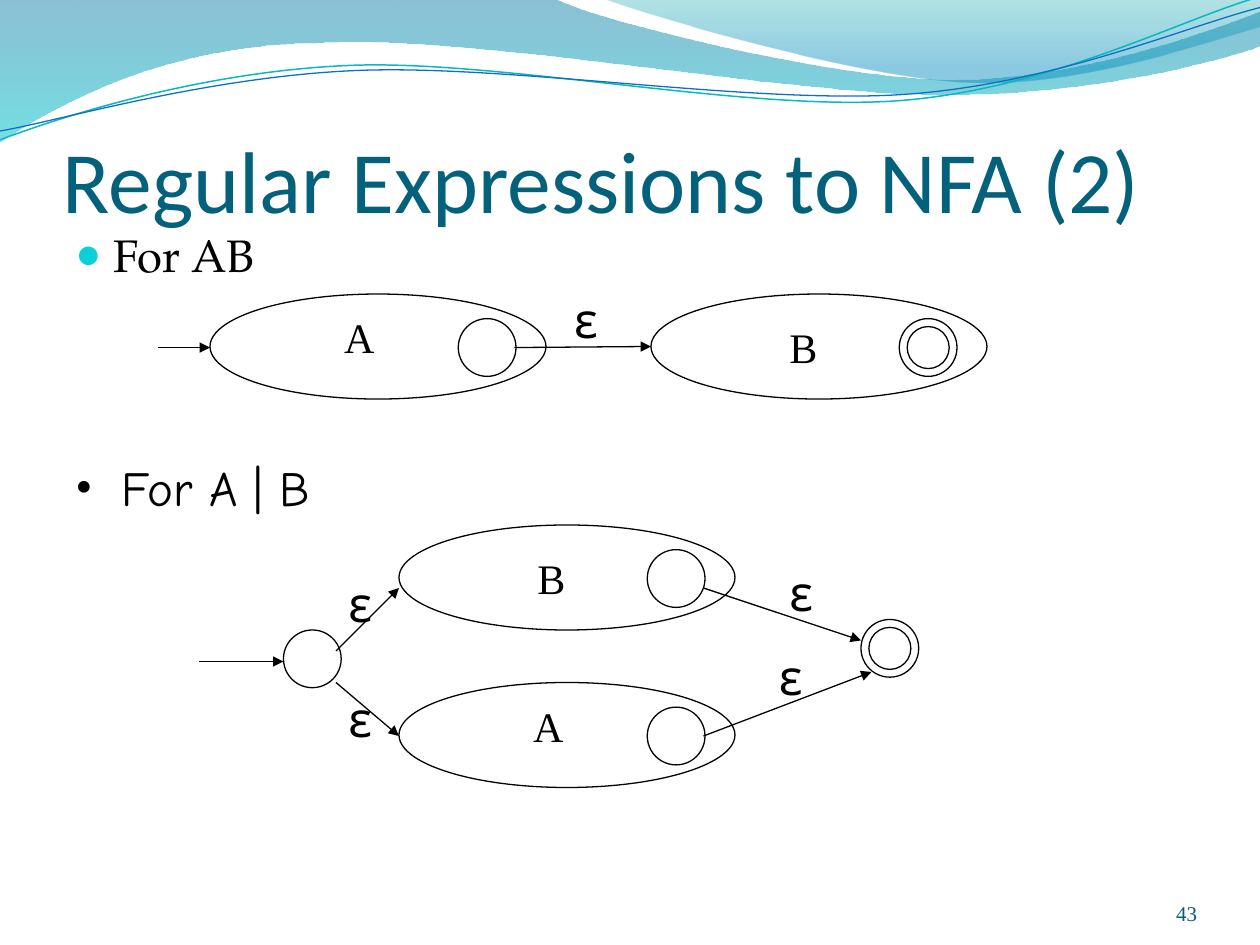
from lxml import etree
from pptx import Presentation
from pptx.dml.color import RGBColor
from pptx.enum.shapes import MSO_CONNECTOR, MSO_SHAPE
from pptx.enum.text import MSO_ANCHOR, PP_ALIGN
from pptx.oxml.ns import qn
from pptx.util import Inches, Pt

ELLIPSE = MSO_SHAPE.OVAL
STRAIGHT = MSO_CONNECTOR.STRAIGHT
TOP, BOTTOM = MSO_ANCHOR.TOP, MSO_ANCHOR.BOTTOM
LEFT, RIGHT = PP_ALIGN.LEFT, PP_ALIGN.RIGHT

COLORS = {
    "ink": "000000", "title": "04617B", "number": "045C75", "bullet": "0BD0D9",
    "teal_line": "0AB8BF", "blue_line": "0F6FC6",
    "wave_top": "0074A1", "wave_bottom": "00C6CF",
    "crest_top": "00A1A9", "crest_bottom": "008BBF",
}
SERIF, SANS, COMIC, BOOK = "Times New Roman", "Calibri", "Comic Neue", "TeX Gyre Pagella"
DEFAULT_INSETS = (0.1, 0.05, 0.1, 0.05)
STATE = 5.5
LETTER_OFFSETS = {"A": (11.6, 1.1), "B": (12, 2)}

WAVE = [(0, -0.01), (4.4, -0.01), (4.76, 0.17, 6.64, 0.63, 7.58, 0.63),
        (8.53, 0.63, 9.58, 0.26, 10, 0.09), (10.01, 0.36),
        (9.83, 0.44, 8.7, 0.76, 7.46, 0.75), (6.22, 0.75, 3.82, 0.28, 2.57, 0.34),
        (1.29, 0.35, 0.46, 0.83, -0.01, 1.13), (0, -0.01)]
CREST = [(4.79, -0.01), (5.09, 0.11, 6.82, 0.62, 7.69, 0.65),
         (8.56, 0.69, 9.61, 0.32, 10, 0.21), (10, 0), (4.79, -0.01)]
TEAL_CURVE = [(0, 1.11), (0.48, 0.93, 1.58, 0.57, 2.77, 0.52),
              (3.95, 0.47, 5.93, 0.89, 7.13, 0.8), (8.33, 0.71, 9.38, 0.15, 9.98, -0.02)]
BLUE_CURVE = [(0, 1.04), (0.47, 0.96, 1.64, 0.61, 2.83, 0.56),
              (4.03, 0.51, 5.97, 0.83, 7.17, 0.75), (8.36, 0.67, 9.41, 0.21, 10, 0.06)]


def grid(*counts):
    """Convert columns or rows, twelve to the inch, into lengths."""
    return [Inches(count / 12) for count in counts]


def color(name):
    """Look up a named colour."""
    return RGBColor.from_string(COLORS[name])


def add_outline(slide, steps, close):
    """Add a freeform whose six-number steps are cubic curves."""
    ends = [(Inches(step[-2]), Inches(step[-1])) for step in steps]
    builder = slide.shapes.build_freeform(*ends[0])
    builder.add_line_segments(ends[1:], close=close)
    shape = builder.convert_to_shape()
    shape.shadow.inherit = False
    segments = list(shape.element.spPr.iter(qn("a:lnTo")))
    for segment, step in zip(segments, steps[1:]):
        if len(step) == 6:
            segment.tag = qn("a:cubicBezTo")
            controls = zip(step[:4:2], step[1:4:2])
            for index, (x, y) in enumerate(controls):
                point = etree.Element(qn("a:pt"), x=str(Inches(x) - shape.left),
                                      y=str(Inches(y) - shape.top))
                segment.insert(index, point)
    return shape


def add_band(slide, steps, stops):
    """Add a wave filled with a translucent vertical gradient."""
    shape = add_outline(slide, steps, True)
    shape.line.fill.background()
    shape.fill.gradient()
    shape.fill.gradient_angle = 270
    for stop, (position, name, _) in zip(shape.fill.gradient_stops, stops):
        stop.position = position
        stop.color.rgb = color(name)
    choices = shape.element.spPr.iter(qn("a:srgbClr"))
    for choice, (_, _, opacity) in zip(choices, stops):
        etree.SubElement(choice, qn("a:alpha"), val=str(opacity * 1000))


def add_curve(slide, steps, name, width):
    """Add an open curved line."""
    shape = add_outline(slide, steps, False)
    shape.fill.background()
    shape.line.color.rgb = color(name)
    shape.line.width = Pt(width)


def add_text(slide, box, text, font, size, name="ink", wrap=True,
             anchor=TOP, align=LEFT, insets=DEFAULT_INSETS):
    """Add a one-paragraph text box and return its paragraph."""
    frame = slide.shapes.add_textbox(*grid(*box)).text_frame
    frame.word_wrap = wrap
    frame.vertical_anchor = anchor
    (frame.margin_left, frame.margin_top,
     frame.margin_right, frame.margin_bottom) = map(Inches, insets)
    paragraph = frame.paragraphs[0]
    paragraph.text = text
    paragraph.alignment = align
    run_font = paragraph.runs[0].font
    run_font.name, run_font.size = font, Pt(size)
    run_font.color.rgb = color(name)
    return paragraph


def add_bullet(paragraph, character, indent, name, percent):
    """Give a paragraph a hanging bullet."""
    properties = paragraph._p.get_or_add_pPr()
    properties.set("marL", str(Inches(indent)))
    properties.set("indent", str(-Inches(indent)))
    choice = etree.SubElement(properties, qn("a:buClr"))
    etree.SubElement(choice, qn("a:srgbClr"), val=COLORS[name])
    etree.SubElement(properties, qn("a:buSzPct"), val=str(percent * 1000))
    etree.SubElement(properties, qn("a:buFont"), typeface=SERIF)
    etree.SubElement(properties, qn("a:buChar"), char=character)


def add_ellipse(slide, column, row, width, height):
    """Add an unfilled ellipse."""
    shape = slide.shapes.add_shape(ELLIPSE, *grid(column, row, width, height))
    shape.shadow.inherit = False
    shape.fill.background()
    shape.line.color.rgb = color("ink")
    shape.line.width = Pt(0.75)


def add_state(slide, column, row, final=False):
    """Add a state circle, doubled when it is final."""
    if final:
        add_ellipse(slide, column + 0.75, row + 0.75, STATE - 1.5, STATE - 1.5)
    add_ellipse(slide, column, row, STATE, STATE)


def add_machine(slide, column, row, letter, final=False):
    """Add a lettered automaton with its accepting state."""
    add_ellipse(slide, column, row, 32, 10)
    right, down = LETTER_OFFSETS[letter]
    add_text(slide, (column + right, row + down, 5.2, 6), letter, SERIF, 24, wrap=False)
    add_state(slide, column + 23.65, row + 2.35, final)


def add_arrow(slide, *ends):
    """Add a straight arrow between two grid points."""
    connector = slide.shapes.add_connector(STRAIGHT, *grid(*ends))
    connector.line.color.rgb = color("ink")
    connector.line.width = Pt(0.75)
    line = connector.line._get_or_add_ln()
    etree.SubElement(line, qn("a:tailEnd"), type="triangle")
    etree.SubElement(connector.element.spPr, qn("a:effectLst"))


def add_epsilons(slide, places):
    """Label empty moves with epsilon."""
    for column, row in places:
        add_text(slide, (column, row, 4.4, 6.8), "ε", COMIC, 28, wrap=False)


def add_concatenation(slide):
    """Draw the automaton for AB."""
    add_machine(slide, 20, 28, "A")
    add_machine(slide, 62, 28, "B", final=True)
    add_arrow(slide, 15, 33.1, 20, 33.1)
    add_arrow(slide, 49, 33.1, 62, 33)
    add_epsilons(slide, [(53.5, 27)])


def add_alternation(slide):
    """Draw the automaton for A | B."""
    add_machine(slide, 38, 65, "A")
    add_machine(slide, 38, 50, "B")
    add_state(slide, 27, 60)
    add_state(slide, 82, 59, final=True)
    for ends in [(19, 63, 27, 63), (32, 62, 38, 56), (32, 65, 38, 70.1),
                 (67, 56, 82, 61), (67, 70.1, 83, 64)]:
        add_arrow(slide, *ends)
    add_epsilons(slide, [(32, 54), (32, 65), (74, 53), (73, 61)])


def main():
    """Build and save the slide."""
    presentation = Presentation()
    presentation.slide_width, presentation.slide_height = grid(120, 90)
    slide = presentation.slides.add_slide(presentation.slide_layouts[6])
    add_band(slide, WAVE, [(0, "wave_top", 45), (1, "wave_bottom", 55)])
    add_band(slide, CREST, [(0, "crest_top", 30), (0.8, "crest_bottom", 45)])
    add_curve(slide, TEAL_CURVE, "teal_line", 0.85)
    add_curve(slide, BLUE_CURVE, "blue_line", 0.75)
    add_text(slide, (104, 83.4, 10, 4.8), "43", SERIF, 12, "number",
             anchor=BOTTOM, align=RIGHT, insets=(0, 0, 0, 0))
    add_text(slide, (6, 7, 108, 15), "Regular Expressions to NFA (2)", SANS, 50, "title",
             anchor=BOTTOM, insets=(0, 0.05, 0, 0))
    heading = add_text(slide, (6, 21, 109, 7), "For AB", BOOK, 26)
    add_bullet(heading, "●", 0.3, "bullet", 95)
    add_concatenation(slide)
    heading = add_text(slide, (6, 43, 109, 7), "For A | B", COMIC, 28)
    add_bullet(heading, "•", 0.37, "ink", 100)
    add_alternation(slide)
    presentation.save("out.pptx")


if __name__ == "__main__":
    main()
